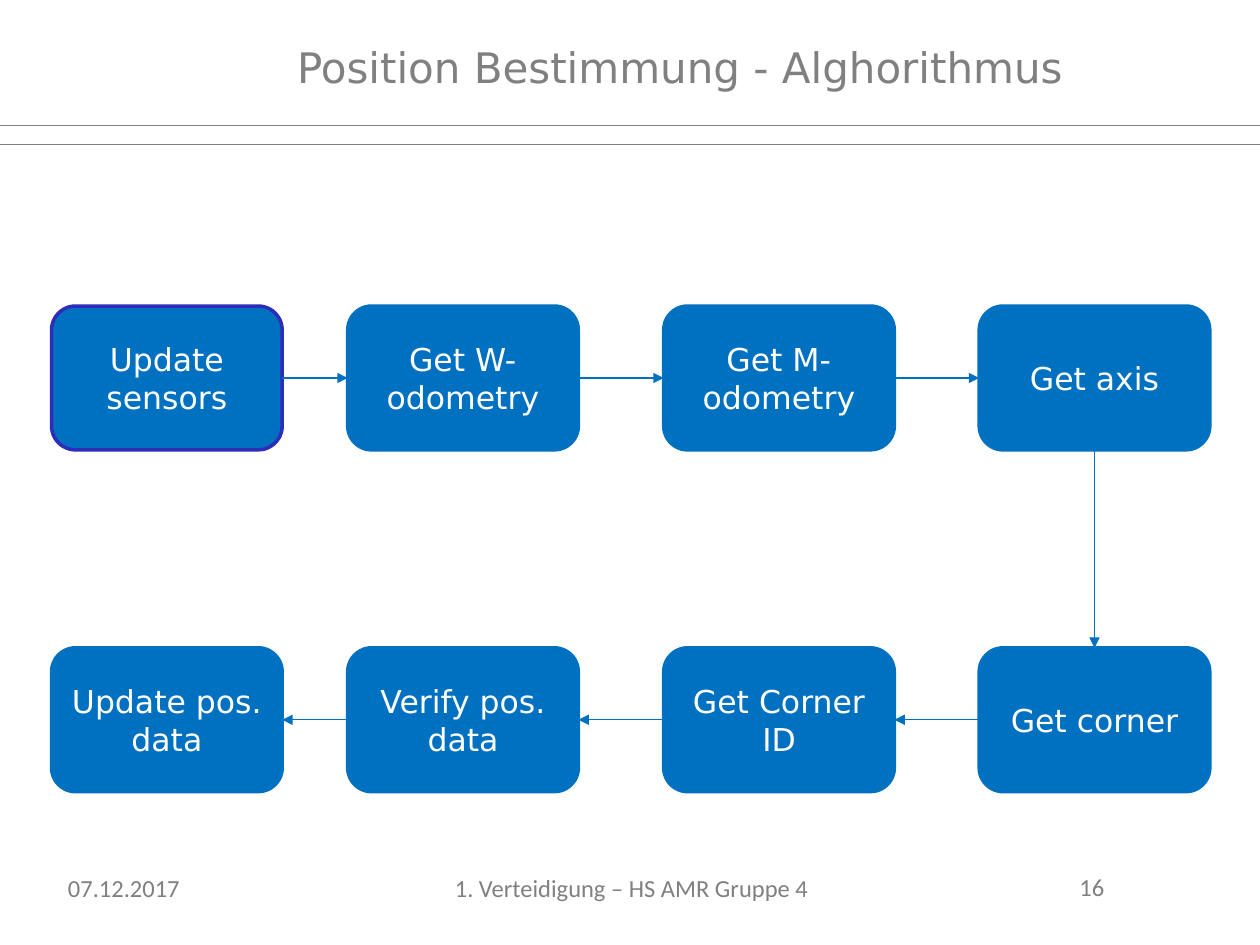
from itertools import pairwise

from lxml.etree import SubElement
from pptx import Presentation
from pptx.dml.color import RGBColor
from pptx.enum.shapes import MSO_CONNECTOR as Connector, MSO_SHAPE as Shape
from pptx.enum.text import MSO_ANCHOR as Anchor, PP_ALIGN as Align
from pptx.oxml.ns import qn
from pptx.util import Cm, Pt

COLORS = {"gray": "808080", "blue": "0070C0", "indigo": "2D2DB9", "white": "FFFFFF"}
TITLE = ("Position Bestimmung - Alghorithmus", 5.74, 0.71, 22.86, 3.18)
FOOTERS = [
    ("07.12.2017", 1.12, 17.48, 2.78, 0.86),
    ("1. Verteidigung – HS AMR Gruppe 4", 8.92, 17.48, 7.7, 0.86),
    ("16", 21.51, 17.45, 2.59, 0.86),
]
RULES = [2.52, 2.92]
STEPS = [
    ["Update sensors", "Get W-odometry", "Get M-odometry", "Get axis"],
    ["Update pos. data", "Verify pos. data", "Get Corner ID", "Get corner"],
]
COLUMNS = [1.04, 7.01, 13.38, 19.74]
ROWS = [6.17, 13.06]
STEP_WIDTH, STEP_HEIGHT = 4.65, 2.9
TOP, LEFT, BOTTOM, RIGHT = range(4)


def color(name):
    return RGBColor.from_string(COLORS[name])


def write(box, text, size=18, font="DejaVu Sans", ink="gray", align=Align.LEFT, anchor=Anchor.TOP):
    frame = box.text_frame
    frame.word_wrap = True
    frame.vertical_anchor = anchor
    para = frame.paragraphs[0]
    para.alignment = align
    span = para.add_run()
    span.text = text
    span.font.size = Pt(size)
    span.font.name = font
    span.font.color.rgb = color(ink)


def add_label(page, text, *place, **style):
    write(page.shapes.add_textbox(*map(Cm, place)), text, **style)


def add_step(page, text, left, top, border):
    box = page.shapes.add_shape(
        Shape.ROUNDED_RECTANGLE, Cm(left), Cm(top), Cm(STEP_WIDTH), Cm(STEP_HEIGHT)
    )
    box.shadow.inherit = False
    box.fill.solid()
    box.fill.fore_color.rgb = color("blue")
    box.line.color.rgb = color(border)
    box.line.width = Pt(2)
    write(box, text, ink="white", align=Align.CENTER, anchor=Anchor.MIDDLE)
    return box


def add_line(page, ink, width, start=(0, 0), end=(0, 0)):
    line = page.shapes.add_connector(Connector.STRAIGHT, *map(Cm, start + end))
    line.line.color.rgb = color(ink)
    line.line.width = Pt(width)
    SubElement(line._element.spPr, qn("a:effectLst"))
    return line


def add_arrow(page, source, source_side, target, target_side):
    arrow = add_line(page, "blue", 0.75)
    arrow.begin_connect(source, source_side)
    arrow.end_connect(target, target_side)
    SubElement(arrow.line._get_or_add_ln(), qn("a:tailEnd"), type="triangle")


def main():
    deck = Presentation()
    deck.slide_width, deck.slide_height = Cm(25.4), Cm(19.05)
    page = deck.slides.add_slide(deck.slide_layouts[6])

    for height in RULES:
        add_line(page, "gray", 0.5, (0, height), (25.4, height))
    for footer in FOOTERS:
        add_label(page, *footer, size=14, font="Calibri")
    add_label(page, *TITLE, size=24)

    upper, lower = [
        [
            add_step(page, text, left, top, "indigo" if text == STEPS[0][0] else "blue")
            for text, left in zip(texts, COLUMNS)
        ]
        for texts, top in zip(STEPS, ROWS)
    ]
    for source, target in pairwise(upper):
        add_arrow(page, source, RIGHT, target, LEFT)
    add_arrow(page, upper[-1], BOTTOM, lower[-1], TOP)
    for source, target in pairwise(reversed(lower)):
        add_arrow(page, source, LEFT, target, RIGHT)

    deck.save("out.pptx")


if __name__ == "__main__":
    main()
